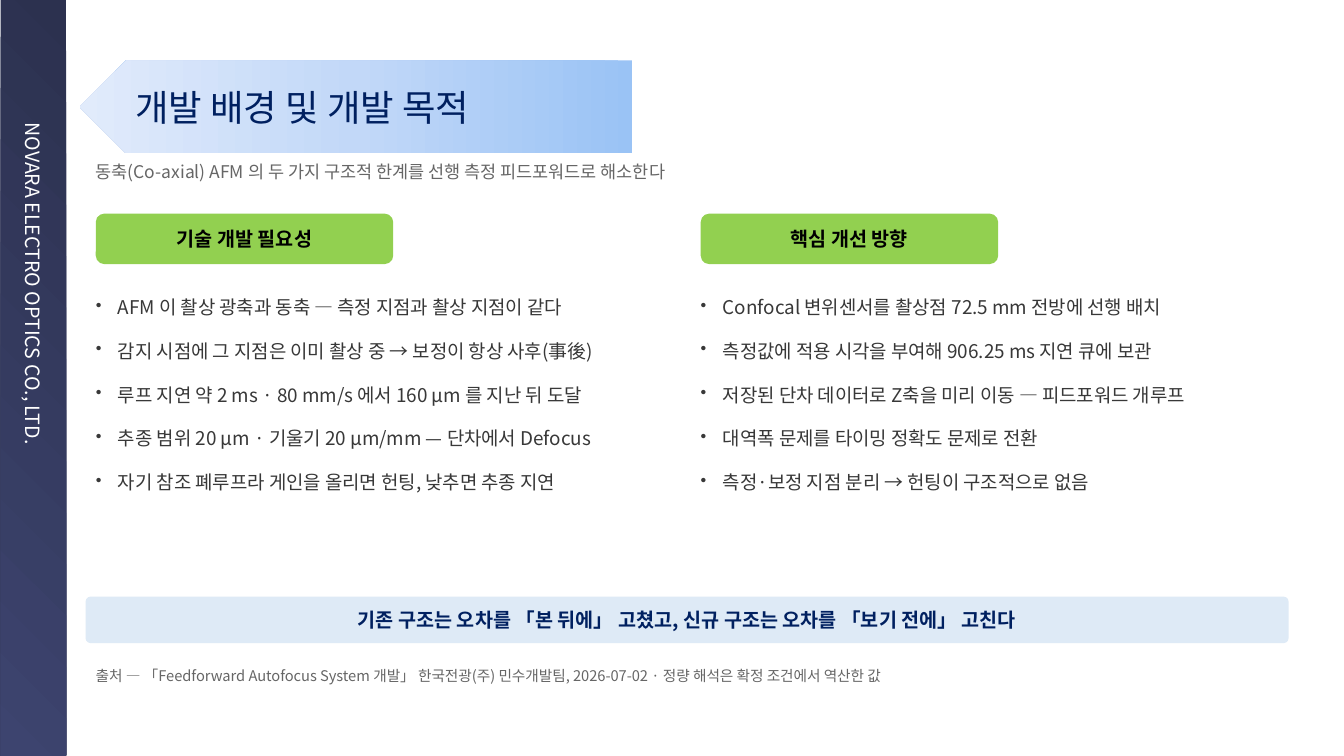
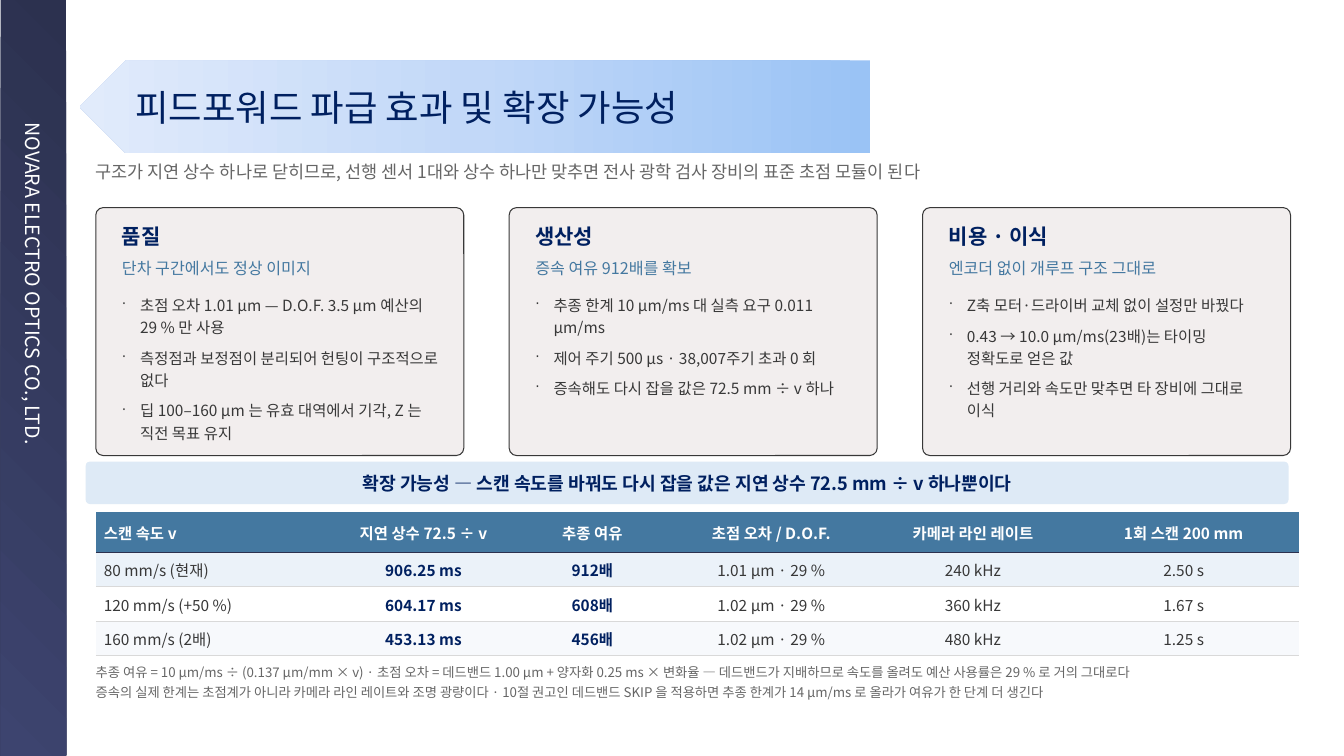
from dataclasses import dataclass

from lxml import etree
from pptx import Presentation
from pptx import util as u
from pptx.dml.color import RGBColor
from pptx.enum import shapes, text
from pptx.oxml import parse_xml
from pptx.oxml.ns import nsdecls, qn

Inches, Pt = u.Inches, u.Pt
SHAPE, ALIGN, ANCHOR = shapes.MSO_SHAPE, text.PP_ALIGN, text.MSO_ANCHOR


@dataclass(frozen=True)
class Theme:
    font: str = "Noto Sans CJK KR"
    white: str = "FFFFFF"
    black: str = "000000"
    navy: str = "002060"
    blue: str = "4478A0"
    body: str = "383838"
    muted: str = "666666"
    green: str = "92D050"
    pale_blue: str = "DEEAF6"
    card: str = "F2EEEE"
    rule: str = "D9D9D9"
    row_fills: tuple = ("EBF2F9", "FFFFFF", "F7F9FC")
    band: tuple = ((0, "2C314F"), (100, "3D446F"))
    banner: tuple = ((0, "9AC3F5"), (50, "C2D8F8"), (100, "E1EBFB"))
    # Type sizes in points
    title: float = 26
    card_head: float = 15
    label: float = 14
    bullet: float = 13.5
    message: float = 13
    subtitle: float = 12.5
    card_lead: float = 11.5
    small: float = 11
    source: float = 10.5
    note: float = 9.5


THEME = Theme()
LEFT, WIDTH = 0.95, 11.93
COMPANY = "NOVARA ELECTRO OPTICS CO., LTD."
NO_TABLE_STYLE = "{2D5ABB26-0587-4C30-8999-92F81FD0307C}"


def assign(target, **values):
    for name, value in values.items():
        setattr(target, name, value)


class Deck:
    def __init__(self, theme):
        self.theme = theme
        self.prs = Presentation()
        assign(self.prs, slide_width=Inches(13.33), slide_height=Inches(7.5))
        self.layout = self.prs.slide_layouts[5]
        self.slide = None

    # Text
    def fill_text(self, frame, lines, size, color, bold=False, align=ALIGN.LEFT,
                  spacing=None, after=None, bullet=None, indent=0):
        for i, line in enumerate([lines] if isinstance(lines, str) else lines):
            para = frame.paragraphs[0] if i == 0 else frame.add_paragraph()
            assign(para, alignment=align, line_spacing=spacing,
                   space_after=None if after is None else Pt(after))
            if bullet:
                props = para._p.get_or_add_pPr()
                props.set("marL", str(Inches(indent)))
                props.set("indent", str(-Inches(indent)))
                etree.SubElement(props, qn("a:buSzPct")).set("val", "90000")
                etree.SubElement(props, qn("a:buChar")).set("char", bullet)
            run = para.add_run()
            run.text = line
            assign(run.font, size=Pt(size), name=self.theme.font, bold=bold)
            run.font.color.rgb = RGBColor.from_string(color)

    def frame(self, owner, insets=(0, 0, 0, 0), anchor=ANCHOR.TOP):
        left, top, right, bottom = map(Inches, insets)
        assign(owner.text_frame, word_wrap=True, auto_size=text.MSO_AUTO_SIZE.NONE,
               vertical_anchor=anchor, margin_left=left, margin_top=top,
               margin_right=right, margin_bottom=bottom)
        return owner.text_frame

    def text(self, at, lines, size, color, **style):
        box = self.slide.shapes.add_textbox(*map(Inches, at))
        self.fill_text(self.frame(box), lines, size, color, **style)

    # Shapes
    def shape(self, kind, at, fill=None, line=None, adjust=None):
        shape = self.slide.shapes.add_shape(kind, *map(Inches, at))
        shape.shadow.inherit = False
        if fill:
            shape.fill.solid()
            shape.fill.fore_color.rgb = RGBColor.from_string(fill)
        if line:
            shape.line.color.rgb = RGBColor.from_string(line)
            shape.line.width = Pt(0.75)
        else:
            shape.line.fill.background()
        if adjust is not None:
            shape.adjustments[0] = adjust
        return shape

    def gradient(self, shape, stops, angle):
        shape.fill.background()
        marks = "".join(f'<a:gs pos="{pos * 1000}"><a:srgbClr val="{color}"/></a:gs>'
                        for pos, color in stops)
        props = shape.element.spPr
        props.replace(props.find(qn("a:noFill")), parse_xml(
            f'<a:gradFill rotWithShape="1" {nsdecls("a")}><a:gsLst>{marks}</a:gsLst>'
            f'<a:lin ang="{angle * 60000}" scaled="0"/></a:gradFill>'))

    def company_band(self):
        """Draw the side band and hand it to the shared layout."""
        band = self.shape(SHAPE.RECTANGLE, (-3.42, 3.42, 7.5, 0.65))
        band.rotation = 90
        self.gradient(band, self.theme.band, 45)
        self.fill_text(self.frame(band, (1.22, 0.05, 0.1, 0.05), ANCHOR.MIDDLE),
                       COMPANY, self.theme.label, self.theme.white)
        self.layout.shapes.element.append(band.element)

    # Slide frame: band, title banner and subtitle
    def new_slide(self, heading, heading_width, subtitle):
        first = self.slide is None
        self.slide = self.prs.slides.add_slide(self.layout)
        if first:
            self.company_band()
        banner = self.shape(SHAPE.PENTAGON, (0.79, 0.6, heading_width + 0.98, 0.92))
        banner.element.spPr.find(qn("a:xfrm")).set("flipH", "1")
        self.gradient(banner, self.theme.banner, 0)
        title = self.slide.shapes.title
        assign(title, left=Inches(1.34), top=Inches(0.6),
               width=Inches(heading_width), height=Inches(0.92))
        self.fill_text(self.frame(title, anchor=ANCHOR.MIDDLE), heading,
                       self.theme.title, self.theme.navy)
        title.element.addprevious(banner.element)
        self.text((LEFT, 1.6, WIDTH, 0.34), subtitle,
                  self.theme.subtitle, self.theme.muted)

    # Content elements
    def topic(self, left, width, heading, points):
        t = self.theme
        pill = self.shape(SHAPE.FLOWCHART_ALTERNATE_PROCESS, (left, 2.12, 2.95, 0.5), t.green)
        self.fill_text(self.frame(pill, (0.05, 0, 0.05, 0), ANCHOR.MIDDLE), heading,
                       t.label, t.black, bold=True, align=ALIGN.CENTER)
        self.text((left, 2.88, width, 3.4), points, t.bullet, t.body,
                  spacing=1.25, after=11, bullet="•", indent=0.22)

    def card(self, left, heading, lead, points):
        t = self.theme
        self.shape(SHAPE.ROUNDED_RECTANGLE, (left, 2.06, 3.65, 2.46), t.card, t.body, 0.03)
        inner, width = left + 0.26, 3.15
        self.text((inner, 2.22, width, 0.3), heading, t.card_head, t.navy, bold=True)
        self.text((inner, 2.56, width, 0.28), lead, t.card_lead, t.blue)
        self.text((inner, 2.9, width, 1.52), points, t.small, t.body,
                  spacing=1.2, after=6, bullet="·", indent=0.18)

    def message(self, top, height, line, size):
        bar = self.shape(SHAPE.ROUNDED_RECTANGLE, (0.85, top, WIDTH, height),
                         self.theme.pale_blue, adjust=0.1)
        self.fill_text(self.frame(bar, (0.06, 0.02, 0.06, 0.02), ANCHOR.MIDDLE), line,
                       size, self.theme.navy, bold=True, align=ALIGN.CENTER)

    def cell(self, cell, value, row, col):
        t = self.theme
        header, key = row == 0, col in (1, 2)
        assign(cell, vertical_anchor=ANCHOR.MIDDLE,
               margin_left=Inches(0.08), margin_right=Inches(0.08),
               margin_top=Inches(0.03), margin_bottom=Inches(0.03))
        self.fill_text(cell.text_frame, value, t.small,
                       t.white if header else t.navy if key else t.body,
                       bold=header or key, spacing=1.05,
                       align=ALIGN.CENTER if col else ALIGN.LEFT)
        cell.fill.solid()
        cell.fill.fore_color.rgb = RGBColor.from_string(
            t.blue if header else t.row_fills[row - 1])
        color, width = (t.band[0][1], 1.2) if header else (t.rule, 0.6)
        cell._tc.get_or_add_tcPr().insert(0, parse_xml(
            f'<a:lnB w="{Pt(width)}" {nsdecls("a")}><a:solidFill>'
            f'<a:srgbClr val="{color}"/></a:solidFill></a:lnB>'))

    def table(self, at, rows, widths, heights):
        holder = self.slide.shapes.add_table(len(rows), len(widths), *map(Inches, at))
        table = holder.table
        assign(table, first_row=False, horz_banding=False)
        next(holder.element.iter(qn("a:tableStyleId"))).text = NO_TABLE_STYLE
        for column, width in zip(table.columns, widths):
            column.width = Inches(width)
        for r, (values, height) in enumerate(zip(rows, heights)):
            table.rows[r].height = Inches(height)
            for c, value in enumerate(values):
                self.cell(table.cell(r, c), value, r, c)

    def finish(self):
        """Give Korean text the same typeface as Latin text, then save."""
        for page in (self.layout, *self.prs.slides):
            for latin in list(page.shapes.element.iter(qn("a:latin"))):
                east_asian = etree.Element(qn("a:ea"))
                east_asian.set("typeface", self.theme.font)
                latin.addnext(east_asian)
        self.prs.save("out.pptx")


def background_slide(deck):
    deck.new_slide("개발 배경 및 개발 목적", 4.5,
                   "동축(Co-axial) AFM 의 두 가지 구조적 한계를 선행 측정 피드포워드로 해소한다")
    deck.topic(LEFT, 5.45, "기술 개발 필요성", [
        "AFM 이 촬상 광축과 동축 — 측정 지점과 촬상 지점이 같다",
        "감지 시점에 그 지점은 이미 촬상 중 → 보정이 항상 사후(事後)",
        "루프 지연 약 2 ms · 80 mm/s 에서 160 µm 를 지난 뒤 도달",
        "추종 범위 20 µm · 기울기 20 µm/mm — 단차에서 Defocus",
        "자기 참조 폐루프라 게인을 올리면 헌팅, 낮추면 추종 지연",
    ])
    deck.topic(6.95, 5.65, "핵심 개선 방향", [
        "Confocal 변위센서를 촬상점 72.5 mm 전방에 선행 배치",
        "측정값에 적용 시각을 부여해 906.25 ms 지연 큐에 보관",
        "저장된 단차 데이터로 Z축을 미리 이동 — 피드포워드 개루프",
        "대역폭 문제를 타이밍 정확도 문제로 전환",
        "측정·보정 지점 분리 → 헌팅이 구조적으로 없음",
    ])
    deck.message(5.92, 0.46, "기존 구조는 오차를 「본 뒤에」 고쳤고, 신규 구조는 오차를 「보기 전에」 고친다",
                 THEME.label)
    deck.text((LEFT, 6.6, 11.83, 0.3),
              "출처 — 「Feedforward Autofocus System 개발」 한국전광(주) 민수개발팀, "
              "2026-07-02 · 정량 해석은 확정 조건에서 역산한 값",
              THEME.source, THEME.muted, spacing=1.1)


def effects_slide(deck):
    deck.new_slide("피드포워드 파급 효과 및 확장 가능성", 6.86,
                   "구조가 지연 상수 하나로 닫히므로, 선행 센서 1대와 상수 하나만 맞추면 "
                   "전사 광학 검사 장비의 표준 초점 모듈이 된다")
    # Three benefit cards
    benefits = [
        ("품질", "단차 구간에서도 정상 이미지", [
            "초점 오차 1.01 µm — D.O.F. 3.5 µm 예산의 29 % 만 사용",
            "측정점과 보정점이 분리되어 헌팅이 구조적으로 없다",
            "딥 100–160 µm 는 유효 대역에서 기각, Z 는 직전 목표 유지"]),
        ("생산성", "증속 여유 912배를 확보", [
            "추종 한계 10 µm/ms 대 실측 요구 0.011 µm/ms",
            "제어 주기 500 µs · 38,007주기 초과 0 회",
            "증속해도 다시 잡을 값은 72.5 mm ÷ v 하나"]),
        ("비용 · 이식", "엔코더 없이 개루프 구조 그대로", [
            "Z축 모터·드라이버 교체 없이 설정만 바꿨다",
            "0.43 → 10.0 µm/ms(23배)는 타이밍 정확도로 얻은 값",
            "선행 거리와 속도만 맞추면 타 장비에 그대로 이식"]),
    ]
    for i, benefit in enumerate(benefits):
        deck.card(LEFT + 4.1 * i, *benefit)
    # Scan speed comparison
    deck.message(4.58, 0.42, "확장 가능성 — 스캔 속도를 바꿔도 다시 잡을 값은 지연 상수 72.5 mm ÷ v 하나뿐이다",
                 THEME.message)
    speeds = [
        ("스캔 속도 v", "지연 상수 72.5 ÷ v", "추종 여유", "초점 오차 / D.O.F.",
         "카메라 라인 레이트", "1회 스캔 200 mm"),
        ("80 mm/s (현재)", "906.25 ms", "912배", "1.01 µm · 29 %", "240 kHz", "2.50 s"),
        ("120 mm/s (+50 %)", "604.17 ms", "608배", "1.02 µm · 29 %", "360 kHz", "1.67 s"),
        ("160 mm/s (2배)", "453.13 ms", "456배", "1.02 µm · 29 %", "480 kHz", "1.25 s"),
    ]
    deck.table((LEFT, 5.08, WIDTH, 1.42), speeds,
               (2.3, 1.9, 1.45, 2.1, 1.9, 2.28), (0.4, 0.34, 0.34, 0.34))
    deck.text((LEFT, 6.56, 11.83, 0.4), [
        "추종 여유 = 10 µm/ms ÷ (0.137 µm/mm × v) · 초점 오차 = 데드밴드 1.00 µm + 양자화 0.25 ms × 변화율 "
        "— 데드밴드가 지배하므로 속도를 올려도 예산 사용률은 29 % 로 거의 그대로다",
        "증속의 실제 한계는 초점계가 아니라 카메라 라인 레이트와 조명 광량이다 "
        "· 10절 권고인 데드밴드 SKIP 을 적용하면 추종 한계가 14 µm/ms 로 올라가 여유가 한 단계 더 생긴다",
    ], THEME.note, THEME.muted, spacing=1.18, after=1)


def main():
    deck = Deck(THEME)
    background_slide(deck)
    effects_slide(deck)
    deck.finish()


if __name__ == "__main__":
    main()
